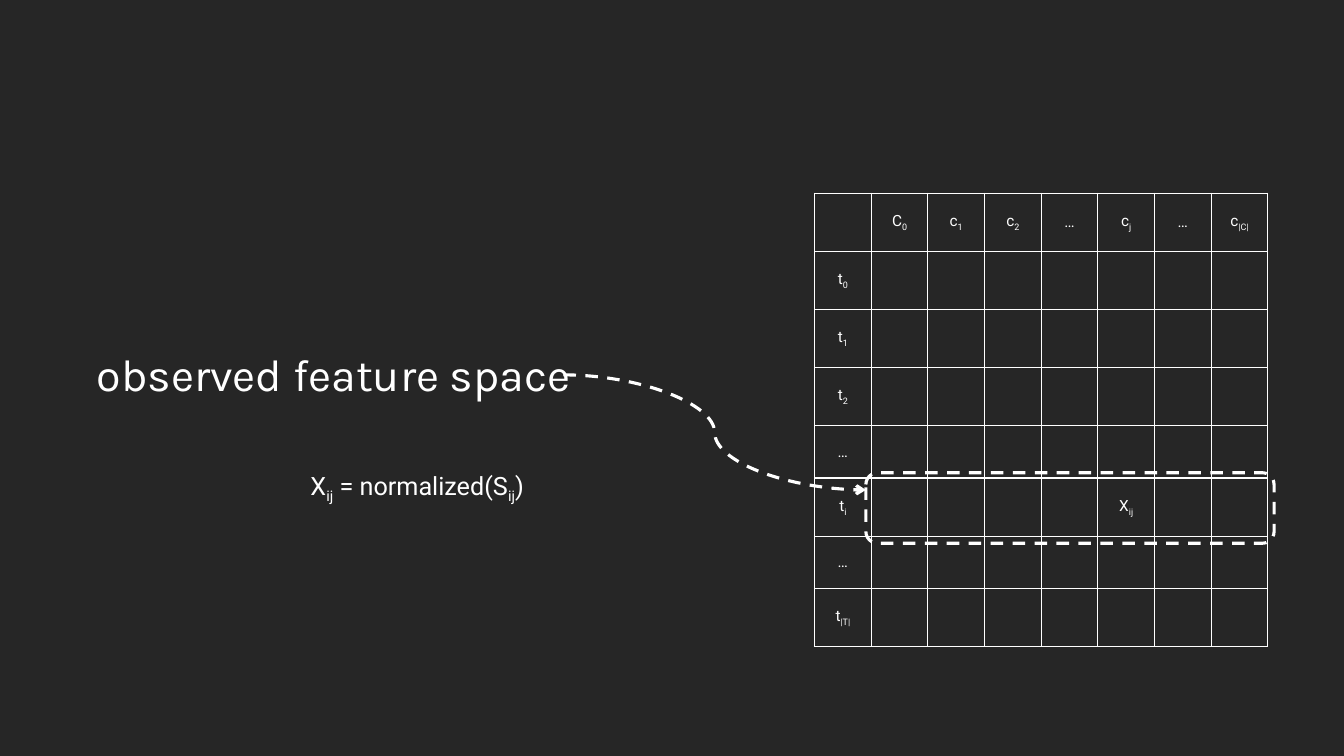
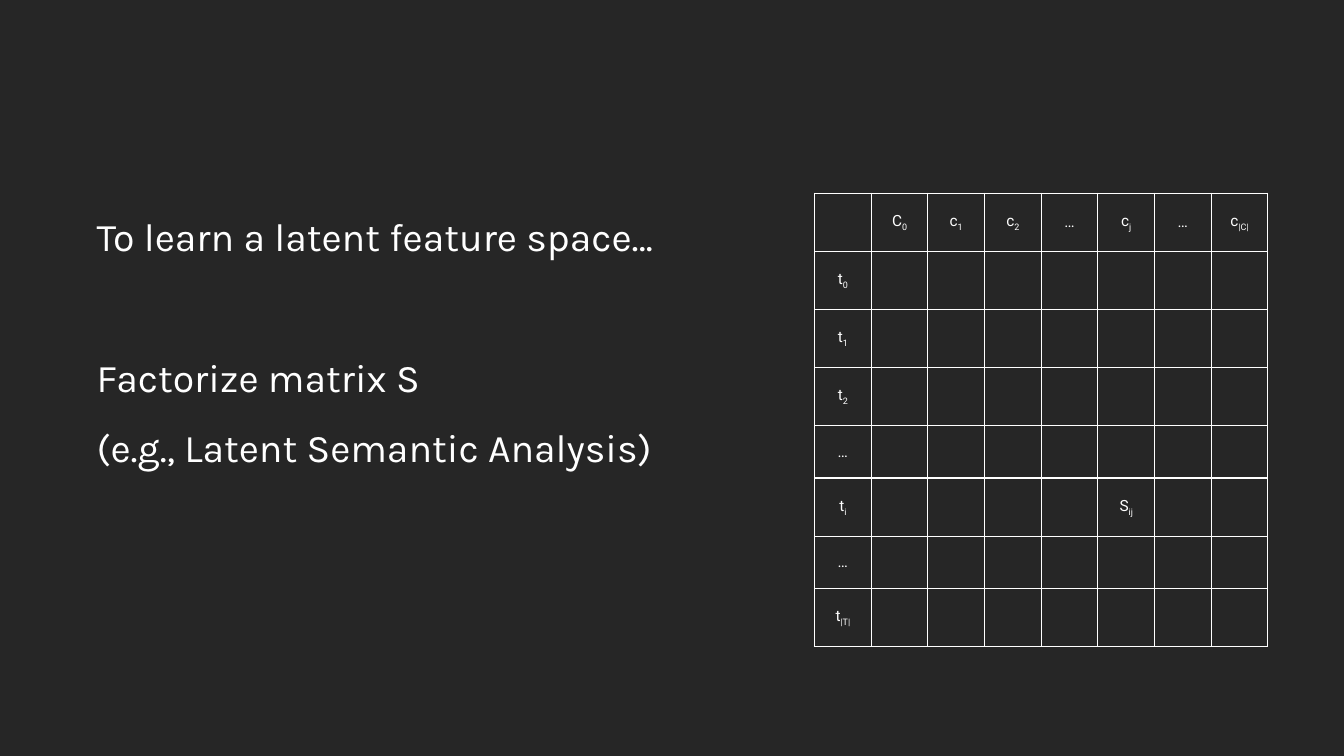
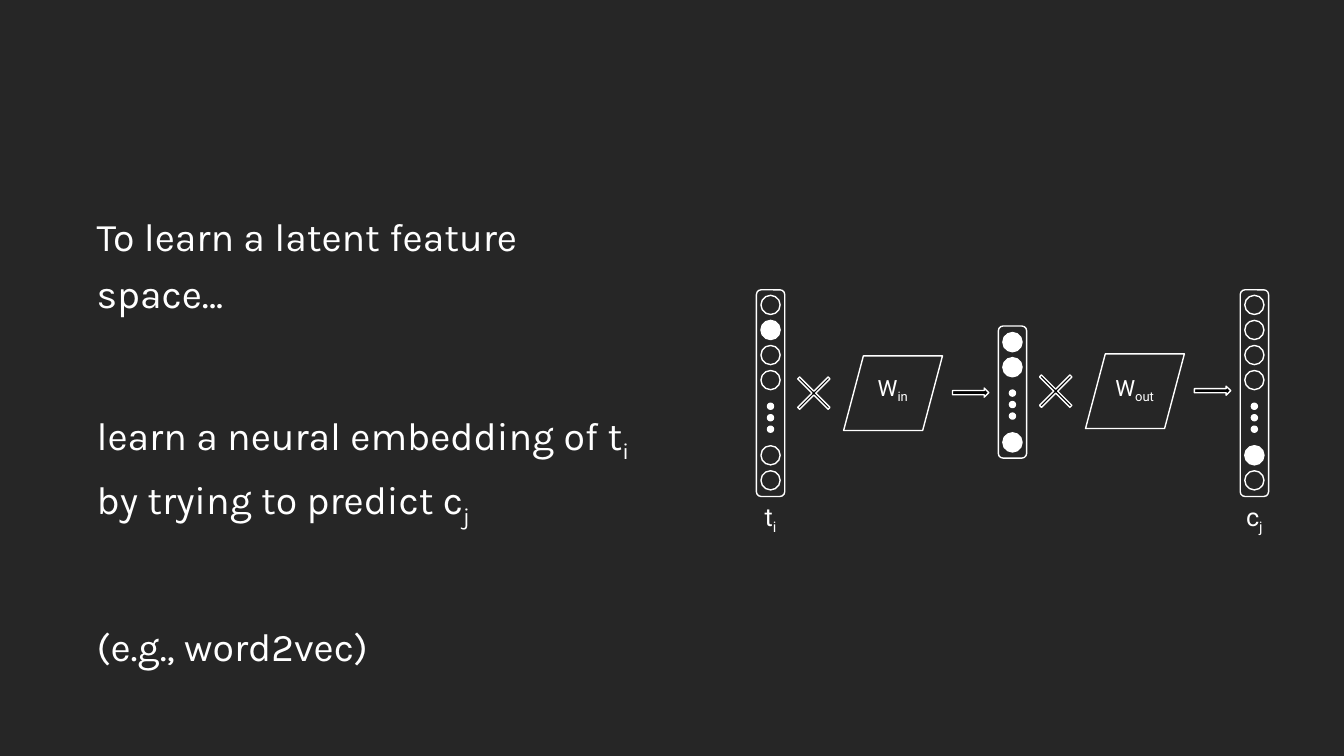
from lxml.etree import SubElement
from pptx import Presentation
from pptx.dml.color import RGBColor
from pptx.enum.dml import MSO_LINE as DASH
from pptx.enum.shapes import MSO_CONNECTOR as CONN, MSO_SHAPE as SHAPE
from pptx.enum.text import MSO_ANCHOR as ANCHOR, PP_ALIGN as ALIGN
from pptx.oxml.ns import qn
from pptx.util import Pt

DARK = RGBColor(0x26, 0x26, 0x26)
WHITE = RGBColor(0xFF, 0xFF, 0xFF)
BLACK = RGBColor(0, 0, 0)

HEADLINE = {"name": "Karla", "size": Pt(32)}
BODY = {"name": "Karla", "size": Pt(28)}
FORMULA = {"name": "Roboto", "size": Pt(18)}
WEIGHT = {"name": "Roboto", "size": Pt(16)}
CELL = {"name": "Roboto", "size": Pt(11)}


def write(p, text, fmt, align=ALIGN.LEFT):
    p.alignment = align
    for i, piece in enumerate(text.split("_")):
        if not piece:
            continue
        r = p.add_run()
        r.text = piece
        r.font.color.rgb = WHITE
        for key, value in fmt.items():
            setattr(r.font, key, value)
        if i % 2:
            r.font._element.set("baseline", "-25000")


def draw(s, kind, x, y, w, h, fill=None, weight=1):
    sp = s.shapes.add_shape(kind, Pt(x), Pt(y), Pt(w), Pt(h))
    sp.shadow.inherit = False
    sp.line.color.rgb = WHITE
    sp.line.width = Pt(weight)
    if fill is None:
        sp.fill.background()
    else:
        sp.fill.solid()
        sp.fill.fore_color.rgb = fill
    return sp


prs = Presentation()
prs.slide_width, prs.slide_height = Pt(960), Pt(540)
bg = prs.slide_master.background.fill
bg.solid()
bg.fore_color.rgb = DARK

bodies = [
    (472, ANCHOR.MIDDLE, [
        ("observed feature space", HEADLINE, 0, ALIGN.LEFT),
        ("X_ij_ = normalized(S_ij_)", FORMULA, 45, ALIGN.CENTER)]),
    (472, ANCHOR.TOP, [
        ("To learn a latent feature space…", BODY, 0, ALIGN.LEFT),
        ("Factorize matrix S", BODY, 60, ALIGN.LEFT),
        ("(e.g., Latent Semantic Analysis)", BODY, 10, ALIGN.LEFT)]),
    (410, ANCHOR.TOP, [
        ("To learn a latent feature space…", BODY, 0, ALIGN.LEFT),
        ("learn a neural embedding of t_i _by trying to predict c_j", BODY, 60, ALIGN.LEFT),
        ("(e.g., word2vec)", BODY, 60, ALIGN.LEFT)]),
]
slides = []
for width, anchor, paragraphs in bodies:
    s = prs.slides.add_slide(prs.slide_layouts[6])
    slides.append(s)
    tf = s.shapes.add_textbox(Pt(62), Pt(138), Pt(width), Pt(324)).text_frame
    tf.word_wrap = True
    tf.vertical_anchor = anchor
    tf.margin_top = tf.margin_bottom = Pt(7.2)
    for i, (text, fmt, before, align) in enumerate(paragraphs):
        p = tf.add_paragraph() if i else tf.paragraphs[0]
        p.line_spacing = 1.2
        p.space_before = Pt(before)
        write(p, text, fmt, align)

col_heads = ["", "C_0", "c_1", "c_2", "…", "c_j", "…", "c_|C|"]
row_heads = ["", "t_0", "t_1", "t_2", "…", "t_i", "…", "t_|T|"]
for s, entry in zip(slides, ["X_ij", "S_ij"]):
    tbl = s.shapes.add_table(8, 8, Pt(581.8), Pt(138), Pt(324), Pt(324)).table
    tbl.first_row = tbl.horz_banding = False
    labels = {(0, j): text for j, text in enumerate(col_heads)}
    labels.update({(i, 0): text for i, text in enumerate(row_heads)})
    labels[5, 5] = entry
    for i in range(8):
        tbl.columns[i].width = Pt(40.5)
        tbl.rows[i].height = Pt(37.5 if row_heads[i] == "…" else 41.5)
        for j in range(8):
            cell = tbl.cell(i, j)
            cell.vertical_anchor = ANCHOR.MIDDLE
            write(cell.text_frame.paragraphs[0], labels.get((i, j), ""), CELL, ALIGN.CENTER)
            tcPr = cell._tc.get_or_add_tcPr()
            for side in ("a:lnL", "a:lnR", "a:lnT", "a:lnB"):
                ln = SubElement(tcPr, qn(side), w=str(Pt(1)))
                SubElement(SubElement(ln, qn("a:solidFill")), qn("a:srgbClr"), val=str(WHITE))
            cell.fill.background()

s = slides[0]
row_frame = draw(s, SHAPE.ROUNDED_RECTANGLE, 618.5, 337.7, 291.6, 50.4, weight=2.25)
row_frame.line.dash_style = DASH.DASH
arrow = s.shapes.add_connector(CONN.CURVE, Pt(402.5), Pt(267.8), Pt(618.5), Pt(350))
arrow.line.color.rgb = WHITE
arrow.line.width = Pt(2.25)
arrow.line.dash_style = DASH.DASH
SubElement(arrow.line._get_or_add_ln(), qn("a:tailEnd"), type="arrow")
SubElement(arrow._element.spPr, qn("a:effectLst"))

s = slides[2]
STEP = 172.8
INPUT_X = 550.4
NODE, DOT = 13.7, 4.3
layers = [
    (207, 147.6, 217.8, [0, 1, 2, 3, 6, 7], [1], 290.2),
    (232.9, 94.3, 244.4, [0, 1, 4], [0, 1, 4], 280.8),
    (207, 147.6, 217.8, [0, 1, 2, 3, 6, 7], [6], 290.2),
]
for i, (top, height, first, nodes, active, dots) in enumerate(layers):
    x = INPUT_X + i * STEP
    draw(s, SHAPE.ROUNDED_RECTANGLE, x - 10.1, top, 20.2, height)
    for n in nodes:
        draw(s, SHAPE.OVAL, x - NODE / 2, first + n * 17.9 - NODE / 2, NODE, NODE,
             WHITE if n in active else None)
    for n in range(3):
        draw(s, SHAPE.OVAL, x - DOT / 2, dots + n * 8.2 - DOT / 2, DOT, DOT, WHITE)

for i in range(2):
    x, y = INPUT_X + i * STEP, 254.2 - i * 1.4
    draw(s, SHAPE.FLOWCHART_DATA, x + 52.2, y, 70.6, 53.3)
    times = draw(s, SHAPE.MATH_MULTIPLY, x + 10, y + 5.7, 41.8, 41.8, BLACK)
    times.adjustments[0] = 0.046
    step_arrow = draw(s, SHAPE.RIGHT_ARROW, x + 130, y + 23, 25.9, 6.5, BLACK)
    step_arrow.adjustments[0] = 0.467

captions = [
    ("W_in", WEIGHT, 637.7, 263.5), ("W_out", WEIGHT, 637.7 + STEP, 263.5),
    ("t_i", FORMULA, INPUT_X, 354.4), ("c_j", FORMULA, INPUT_X + 2 * STEP, 354.4),
]
for text, fmt, x, y in captions:
    tf = s.shapes.add_textbox(Pt(x - 32), Pt(y), Pt(64), Pt(27)).text_frame
    tf.word_wrap = True
    write(tf.paragraphs[0], text, fmt, ALIGN.CENTER)

prs.save("out.pptx")
